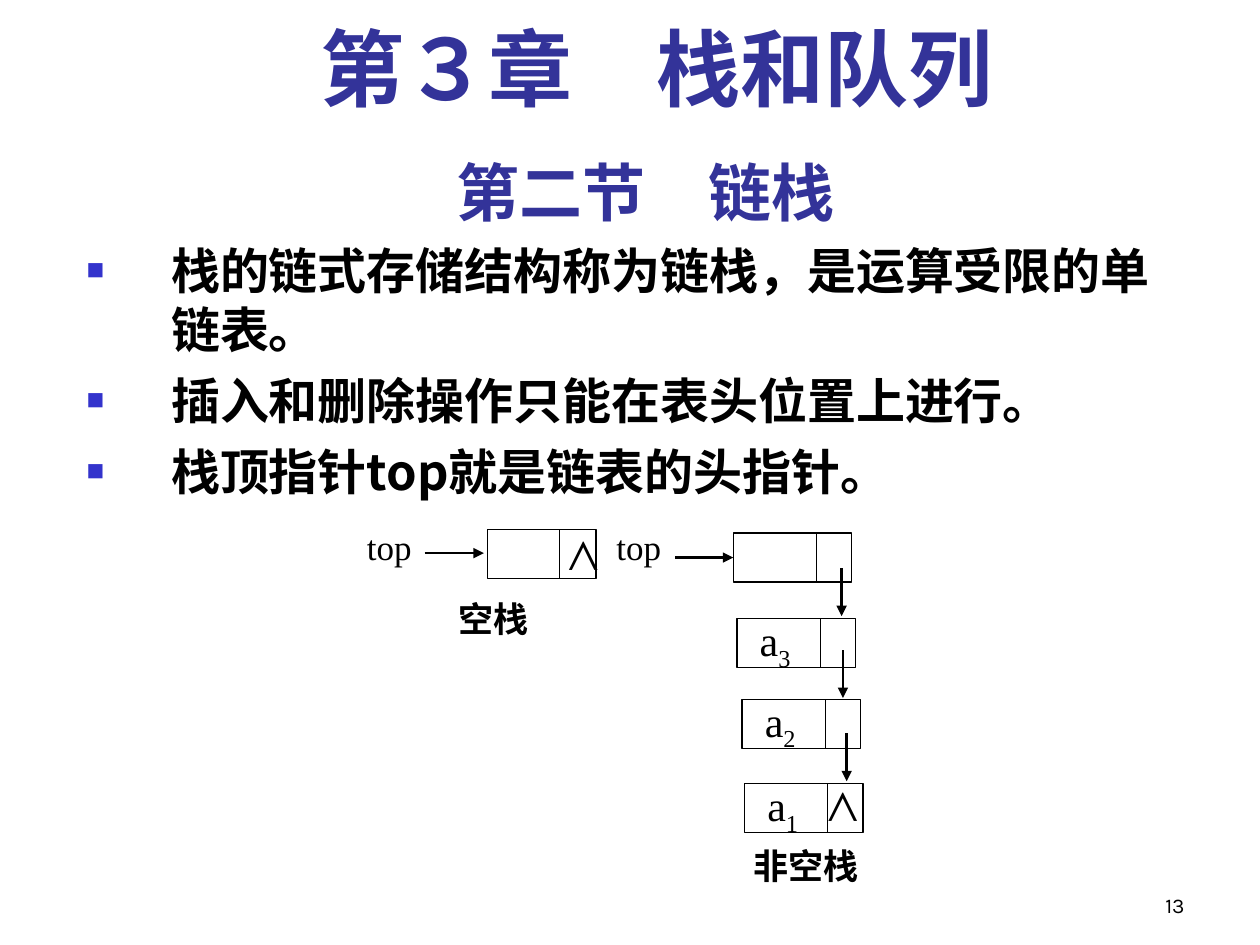
from dataclasses import dataclass

from lxml import etree
from pptx import Presentation
from pptx.dml.color import RGBColor
from pptx.enum.shapes import MSO_CONNECTOR, MSO_SHAPE
from pptx.enum.text import MSO_ANCHOR, PP_ALIGN
from pptx.oxml.ns import qn
from pptx.util import Inches, Pt

RECT, STRAIGHT = MSO_SHAPE.RECTANGLE, MSO_CONNECTOR.STRAIGHT
LEFT, CENTER, RIGHT = PP_ALIGN.LEFT, PP_ALIGN.CENTER, PP_ALIGN.RIGHT
TOP, MIDDLE, BOTTOM = MSO_ANCHOR.TOP, MSO_ANCHOR.MIDDLE, MSO_ANCHOR.BOTTOM
LEFT_SIDE = 1


@dataclass(frozen=True)
class Theme:
    ink: str = "000000"
    heading: str = "333399"
    bullet: str = "3333CC"
    serif: str = "Times New Roman"
    sans: str = "Karla"
    cjk: str = "Noto Sans CJK SC"
    title: int = 48
    section: int = 36
    body: int = 28
    node: int = 24
    label: int = 20
    number: int = 12
    thin: float = 0.75
    thick: float = 1.5


@dataclass(frozen=True)
class Node:
    x: float
    y: float
    width: float = 0.94
    data_width: float = 0.66
    sub: str = ""  # subscript of the element a


T = Theme()
NODE_H = 0.39
ARROW_LEN = 0.38


def style_run(r, size, font, color, bold):
    r.font.size, r.font.bold, r.font.name = Pt(size), bold, font
    r.font.color.rgb = RGBColor.from_string(color)
    etree.SubElement(r._r.get_or_add_rPr(), qn("a:ea")).set("typeface", T.cjk)


def add_bullet(p, hang):
    pPr = p._p.get_or_add_pPr()
    pPr.set("marL", str(Inches(hang)))
    pPr.set("indent", str(-Inches(hang)))
    clr = etree.SubElement(pPr, qn("a:buClr"))
    etree.SubElement(clr, qn("a:srgbClr")).set("val", T.bullet)
    etree.SubElement(pPr, qn("a:buSzPct")).set("val", "60000")
    etree.SubElement(pPr, qn("a:buFont")).set("typeface", T.serif)
    etree.SubElement(pPr, qn("a:buChar")).set("char", "■")


def write(tf, lines, *, size, font=T.serif, color=T.ink, bold=False, align=LEFT,
          anchor=TOP, wrap=True, before=0, spacing=None, hang=0, sub=""):
    """Write one paragraph per line; sub is a subscript after the last one."""
    tf.word_wrap, tf.vertical_anchor = wrap, anchor
    for i, line in enumerate(lines):
        p = tf.add_paragraph() if i else tf.paragraphs[0]
        p.alignment = align
        if i and before:
            p.space_before = Pt(before)
        if spacing:
            p.line_spacing = spacing
        if hang:
            add_bullet(p, hang)
        r = p.add_run()
        r.text = line
        style_run(r, size, font, color, bold)
    if sub:
        r = p.add_run()
        r.text = sub
        style_run(r, size, font, color, bold)
        r._r.get_or_add_rPr().set("baseline", "-25000")


def add_text(s, x, y, w, h, *lines, **fmt):
    box = s.shapes.add_textbox(Inches(x), Inches(y), Inches(w), Inches(h))
    write(box.text_frame, lines, **fmt)
    return box


def add_line(s, x1, y1, x2, y2, width: float, arrow: bool = False):
    c = s.shapes.add_connector(STRAIGHT, Inches(x1), Inches(y1), Inches(x2), Inches(y2))
    c.line.color.rgb = RGBColor.from_string(T.ink)
    c.line.width = Pt(width)
    if arrow:
        etree.SubElement(c.line._get_or_add_ln(), qn("a:tailEnd")).set("type", "triangle")
    etree.SubElement(c._element.spPr, qn("a:effectLst"))
    return c


def add_node(s, node: Node):
    sp = s.shapes.add_shape(RECT, Inches(node.x), Inches(node.y),
                            Inches(node.width), Inches(NODE_H))
    sp.shadow.inherit = False
    sp.fill.background()
    sp.line.color.rgb = RGBColor.from_string(T.ink)
    sp.line.width = Pt(T.thin)
    if node.sub:
        tf = sp.text_frame
        tf.margin_left, tf.margin_right = Inches(0.18), 0
        write(tf, ["a"], size=T.node, anchor=MIDDLE, sub=node.sub)
    split = node.x + node.data_width
    add_line(s, split, node.y, split, node.y + NODE_H, T.thin)
    return sp


def add_null(s, center_x: float, y: float):
    box = add_text(s, center_x - 0.2, y, 0.4, NODE_H, "⋀", size=T.node,
                   align=CENTER, anchor=MIDDLE, wrap=False)
    box.text_frame.margin_left = box.text_frame.margin_right = 0


def add_label(s, center_x: float, y: float, text: str, bold: bool = False):
    width = 1.2
    add_text(s, center_x - width / 2, y, width, NODE_H, text, size=T.label,
             bold=bold, align=CENTER, anchor=MIDDLE, wrap=False)


def main():
    prs = Presentation()
    prs.slide_width, prs.slide_height = Inches(10), Inches(7.5)
    s = prs.slides.add_slide(prs.slide_layouts[6])

    # Headings, bullets and page number
    add_text(s, 0.67, 0.17, 9.08, 0.83, "第３章　栈和队列", size=T.title,
             color=T.heading, bold=True, align=CENTER, spacing=0.9)
    add_text(s, 0.5, 1.17, 9.25, 0.7, "第二节　链栈", size=T.section, font=T.sans,
             color=T.heading, bold=True, align=CENTER)
    add_text(s, 0.59, 1.86, 8.66, 2.36,
             "栈的链式存储结构称为链栈，是运算受限的单链表。",
             "插入和删除操作只能在表头位置上进行。",
             "栈顶指针top就是链表的头指针。",
             size=T.body, font=T.cjk, bold=True, before=7, hang=0.67)
    add_text(s, 7.17, 6.83, 2.33, 0.5, "13", size=T.number, font=T.sans,
             align=RIGHT, anchor=BOTTOM)

    # Empty stack
    add_label(s, 3.09, 4.14, "top")
    add_line(s, 3.37, 4.39, 3.84, 4.39, T.thick, arrow=True)
    empty = Node(3.87, 4.2, width=0.86, data_width=0.57)
    add_node(s, empty)
    add_null(s, 4.63, empty.y)
    add_label(s, 3.92, 4.71, "空栈", bold=True)

    # Non-empty stack: head node followed by the elements
    head = Node(5.82, 4.23)
    chain = [head, Node(5.85, 4.91, sub="3"), Node(5.89, 5.55, sub="2"),
             Node(5.91, 6.22, sub="1")]
    boxes = [add_node(s, node) for node in chain]
    for x, y in [(6.68, 4.51), (6.69, 5.16), (6.72, 5.82)]:
        add_line(s, x, y, x, y + ARROW_LEN, T.thick, arrow=True)
    add_null(s, 6.69, chain[-1].y - 0.03)
    add_label(s, 5.07, 4.14, "top")
    mid = head.y + NODE_H / 2
    pointer = add_line(s, 5.36, mid, head.x, mid, T.thick, arrow=True)
    pointer.end_connect(boxes[0], LEFT_SIDE)
    add_label(s, 6.4, 6.67, "非空栈", bold=True)

    prs.save("out.pptx")


if __name__ == "__main__":
    main()
